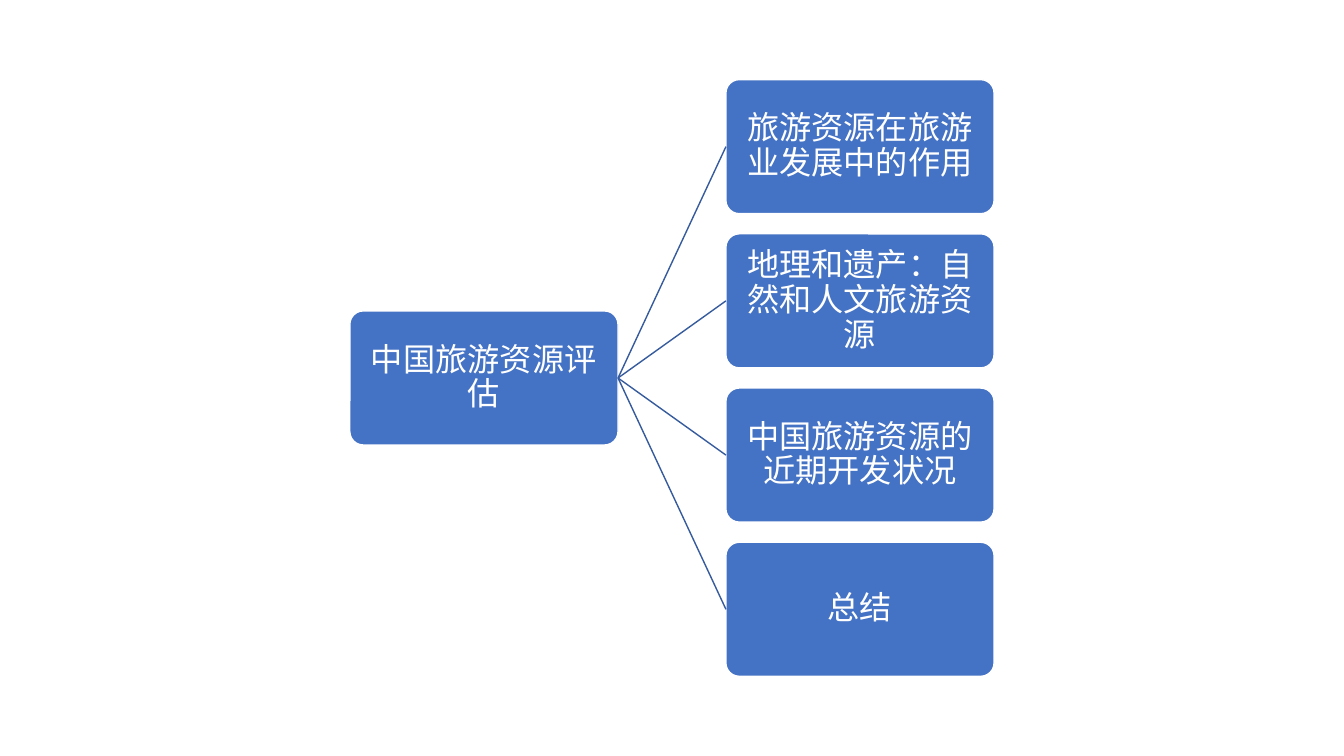
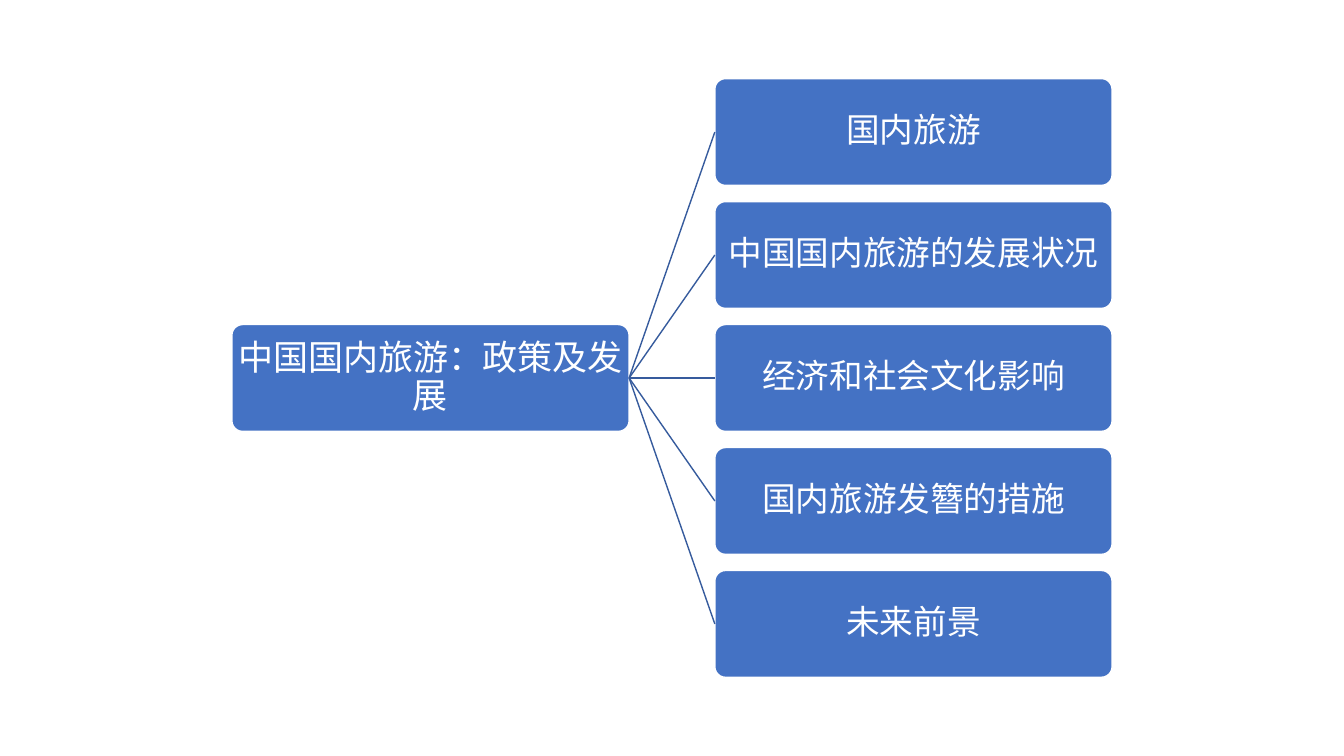
"""Two slides, each with a topic box branching to its subtopics."""
from lxml.etree import SubElement
from pptx import Presentation
from pptx.dml.color import RGBColor
from pptx.enum.shapes import MSO_CONNECTOR, MSO_SHAPE
from pptx.enum.text import MSO_ANCHOR, PP_ALIGN
from pptx.oxml.ns import qn
from pptx.util import Inches, Pt

COLORS = {"box": "4472C4", "edge": "FFFFFF", "text": "FFFFFF", "link": "365B9D"}
FONT = "Noto Sans CJK SC"
MIDDLE = 3.75
LEFT, RIGHT = 1, 3

TREES = [
    {
        "root": "中国旅游资源评估",
        "leaves": [
            "旅游资源在旅游业发展中的作用",
            "地理和遗产：自然和人文旅游资源",
            "中国旅游资源的近期开发状况",
            "总结",
        ],
        "x": (3.47, 7.2), "size": (2.66, 1.33), "step": 1.53, "fonts": (23, 23),
    },
    {
        "root": "中国国内旅游：政策及发展",
        "leaves": [
            "国内旅游",
            "中国国内旅游的发展状况",
            "经济和社会文化影响",
            "国内旅游发簪的措施",
            "未来前景",
        ],
        "x": (2.3, 7.09), "size": (3.94, 1.06), "step": 1.22, "fonts": (25, 24),
    },
]


def add_box(slide, text, left, center, size, points):
    width, height = size
    box = slide.shapes.add_shape(
        MSO_SHAPE.ROUNDED_RECTANGLE, Inches(left), Inches(center - height / 2),
        Inches(width), Inches(height))
    box.adjustments[0] = 0.1
    box.shadow.inherit = False
    box.fill.solid()
    box.fill.fore_color.rgb = RGBColor.from_string(COLORS["box"])
    box.line.color.rgb = RGBColor.from_string(COLORS["edge"])
    box.line.width = Pt(1)
    frame = box.text_frame
    frame.word_wrap = True
    frame.vertical_anchor = MSO_ANCHOR.MIDDLE
    frame.margin_left = frame.margin_right = Inches(0.02)
    frame.margin_top = frame.margin_bottom = Inches(0.02)
    frame.text = text
    para = frame.paragraphs[0]
    para.alignment = PP_ALIGN.CENTER
    para.line_spacing = 0.9
    font = para.font
    font.size = Pt(points)
    font.color.rgb = RGBColor.from_string(COLORS["text"])
    font.name = FONT
    props = para._p.pPr.find(qn("a:defRPr"))
    SubElement(props, qn("a:ea")).set("typeface", FONT)
    return box


def add_link(slide, root, leaf):
    link = slide.shapes.add_connector(MSO_CONNECTOR.STRAIGHT, 0, 0, 0, 0)
    link.begin_connect(root, RIGHT)
    link.end_connect(leaf, LEFT)
    link.line.color.rgb = RGBColor.from_string(COLORS["link"])
    link.line.width = Pt(1)
    SubElement(link._element.spPr, qn("a:effectLst"))


deck = Presentation()
deck.slide_width, deck.slide_height = Inches(13.33), Inches(7.5)
blank = deck.slide_layouts[6]

for tree in TREES:
    slide = deck.slides.add_slide(blank)
    size, leaves = tree["size"], tree["leaves"]
    root_x, leaf_x = tree["x"]
    root_pt, leaf_pt = tree["fonts"]
    root = add_box(slide, tree["root"], root_x, MIDDLE, size, root_pt)
    for row, text in enumerate(leaves):
        center = MIDDLE + (row - (len(leaves) - 1) / 2) * tree["step"]
        leaf = add_box(slide, text, leaf_x, center, size, leaf_pt)
        add_link(slide, root, leaf)

deck.save("out.pptx")
